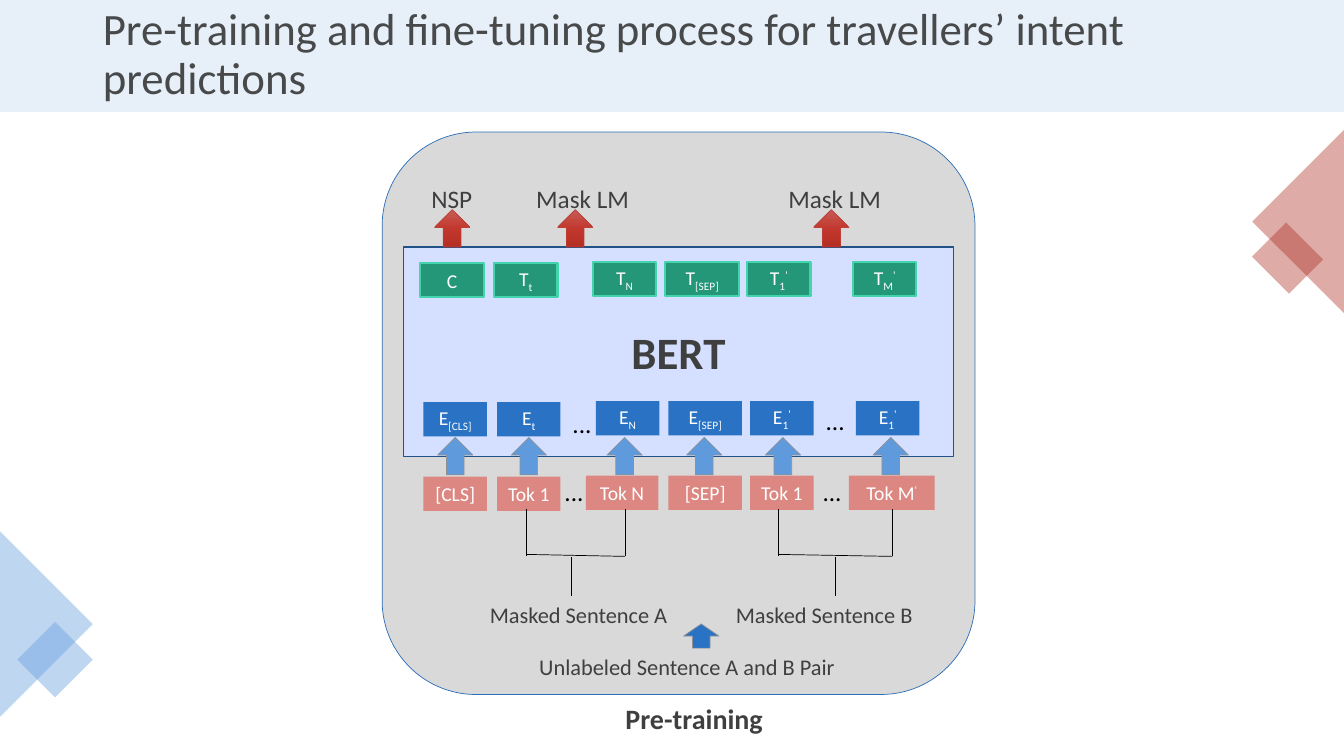
import copy
import dataclasses

import pptx
import pptx.dml.color
import pptx.enum.shapes
import pptx.enum.text
import pptx.oxml
import pptx.oxml.ns
import pptx.util
from lxml import etree


@dataclasses.dataclass(frozen=True)
class Theme:
    font: str = "Calibri"
    title: str = "47494A"
    ink: str = "3F3F3F"
    black: str = "000000"
    white: str = "FFFFFF"
    band: str = "D1E2F4"
    sky: str = "5F9ADD"
    brick: str = "AE2F23"
    panel: str = "D9D9D9"
    panel_edge: str = "2C6EB6"
    model: str = "D5DFFF"
    model_edge: str = "215187"
    embedding: str = "2A72C3"
    output: str = "239778"
    output_edge: str = "43D4AD"
    token: str = "DC8781"
    arrow_edge: str = "8F9294"
    output_arrow: tuple = ("C65C57", "C3382E", "B32D23")
    output_arrow_edge: str = "BC3E35"
    heading_size: int = 32
    caption_size: int = 20
    label_size: int = 18
    sentence_size: int = 16
    cell_size: int = 14


theme = Theme()
inch = pptx.util.Inches
color = pptx.dml.color.RGBColor.from_string
kinds = pptx.enum.shapes.MSO_SHAPE
align = pptx.enum.text.PP_ALIGN
middle = pptx.enum.text.MSO_ANCHOR.MIDDLE

deck = pptx.Presentation()
deck.slide_width, deck.slide_height = inch(13.33), inch(7.5)
page = deck.slides.add_slide(deck.slide_layouts[5])


def add_block(kind, place, fill, edge=None, weight=0.5):
    block = page.shapes.add_shape(kind, *map(inch, place))
    block.shadow.inherit = False
    block.fill.solid()
    block.fill.fore_color.rgb = color(fill)
    if edge:
        block.line.color.rgb = color(edge)
        block.line.width = pptx.util.Pt(weight)
    else:
        block.line.fill.background()
    return block


def write(frame, runs, size, ink, alignment=align.LEFT, bold=False):
    para = frame.paragraphs[0]
    para.alignment = alignment
    for text, baseline in runs:
        span = para.add_run()
        span.text = text
        span.font.name = theme.font
        span.font.size = pptx.util.Pt(size)
        span.font.bold = bold
        span.font.color.rgb = color(ink)
        if baseline:
            span.font._element.set("baseline", str(baseline * 1000))
    return para


backdrop = [
    ((0, -0.02, 13.33, 1.13), 0, theme.band, 50),
    ((-1.33, 5.26, 1.87, 1.85), 45, theme.sky, 40),
    ((0.28, 6.28, 0.53, 0.53), 45, theme.sky, 40),
    ((12.8, 1.28, 1.87, 1.85), 45, theme.brick, 40),
    ((12.51, 2.32, 0.52, 0.48), 45, theme.brick, 40),
]
title = page.shapes.title
for place, turn, fill, opacity in backdrop:
    block = add_block(kinds.RECTANGLE, place, fill)
    block.rotation = turn
    tint = block.element.spPr.find(".//" + pptx.oxml.ns.qn("a:srgbClr"))
    etree.SubElement(tint, pptx.oxml.ns.qn("a:alpha")).set("val", str(opacity * 1000))
    title.element.addprevious(block.element)

title.left, title.top, title.width, title.height = map(inch, (0.92, 0.01, 11.89, 1.08))
title.text_frame.vertical_anchor = middle
title.text_frame.auto_size = pptx.enum.text.MSO_AUTO_SIZE.NONE
para = write(title.text_frame, [("Pre-training and fine-tuning process for travellers’ intent predictions", 0)],
             theme.heading_size, theme.title)
para.line_spacing = 0.9

add_block(kinds.ROUNDED_RECTANGLE, (3.79, 1.31, 5.88, 5.58), theme.panel, theme.panel_edge)
model = add_block(kinds.RECTANGLE, (4, 2.45, 5.46, 2.08), theme.model, theme.model_edge, 1)
model.text_frame.vertical_anchor = middle
write(model.text_frame, [("BERT", 0)], theme.heading_size, theme.ink, align.CENTER, True)

columns = [(4.2, 0.63), (4.93, 0.63), (5.91, 0.63), (6.63, 0.73), (7.44, 0.63), (8.49, 0.63)]
output_columns = [(left - 0.03, width) for left, width in columns]
token_columns = columns[:2] + [(5.81, 0.72)] + columns[3:5] + [(8.42, 0.85)]
first, last = ("1", -25), ("M", -25)
prime = ("'", 30)
subscripts = [[("[CLS]", -25)], [("t", -25)], [("N", -25)], [("[SEP]", -25)], [first, prime]]
embeddings = [[("E", 0)] + marks for marks in subscripts + [[first, prime]]]
outputs = [[("C", 0)]] + [[("T", 0)] + marks for marks in subscripts[1:] + [[last, prime]]]
tokens = [[(word, 0)] for word in ("[CLS]", "Tok 1", "Tok N", "[SEP]", "Tok 1", "Tok M")]
tokens[-1].append(prime)

cell_rows = [
    (3.98, columns, embeddings, theme.embedding, None),
    (2.6, output_columns, outputs, theme.output, theme.output_edge),
    (4.72, token_columns, tokens, theme.token, None),
]
for top, row_columns, labels, fill, edge in cell_rows:
    for index, ((left, width), runs) in enumerate(zip(row_columns, labels)):
        drop = 0.01 if index < 2 else 0
        cell = add_block(kinds.RECTANGLE, (left, top + drop, width, 0.34), fill, edge, 1.5)
        frame = cell.text_frame
        frame.margin_left = frame.margin_right = 0
        frame.vertical_anchor = middle
        write(frame, runs, theme.cell_size, theme.white, align.CENTER)

for left in (4.31, 5.53, 8.07):
    arrow = add_block(kinds.UP_ARROW, (left, 2.08, 0.35, 0.37), theme.brick, theme.output_arrow_edge)
    arrow.fill.gradient()
    arrow.fill.gradient_angle = 270
    stops = arrow.element.spPr.find(".//" + pptx.oxml.ns.qn("a:gsLst"))
    stops.insert(1, copy.deepcopy(stops[0]))
    for index, (stop, shade) in enumerate(zip(arrow.fill.gradient_stops, theme.output_arrow)):
        stop.position = index / 2
        stop.color.rgb = color(shade)

for left in (4.34, 5.07, 6.02, 6.81, 7.59, 8.66):
    add_block(kinds.UP_ARROW, (left, 4.34, 0.35, 0.37), theme.sky, theme.arrow_edge)
add_block(kinds.UP_ARROW, (6.78, 6.19, 0.35, 0.24), theme.embedding, theme.arrow_edge)

brackets = [(5.22, 6.2, 5.67), (7.72, 8.85, 8.29)]
for start, end, stem in brackets:
    for x1, y1, x2, y2 in [(start, 5.05, start, 5.52), (end, 5.05, end, 5.52),
                           (start, 5.5, end, 5.52), (stem, 5.53, stem, 5.91)]:
        line = page.shapes.add_connector(pptx.enum.shapes.MSO_CONNECTOR.STRAIGHT,
                                         inch(x1), inch(y1), inch(x2), inch(y2))
        line.line.color.rgb = color(theme.black)
        line.line.width = pptx.util.Pt(0.5)
        etree.SubElement(line.element.spPr, pptx.oxml.ns.qn("a:effectLst"))

labels = [
    ("NSP", (4.18, 1.77, 0.63, 0.4), theme.label_size, theme.ink),
    ("Mask LM", (5.22, 1.77, 1.14, 0.4), theme.label_size, theme.ink),
    ("Mask LM", (7.72, 1.77, 1.14, 0.4), theme.label_size, theme.ink),
    ("Masked Sentence A", (4.76, 5.91, 2.31, 0.37), theme.sentence_size, theme.ink),
    ("Masked Sentence B", (7.2, 5.91, 2.31, 0.37), theme.sentence_size, theme.ink),
    ("Unlabeled Sentence A and B Pair", (5.25, 6.43, 3.17, 0.37), theme.sentence_size, theme.ink),
    ("Pre-training", (5.3, 6.91, 3.17, 0.44), theme.caption_size, theme.ink),
]
for left, top in [(5.58, 4), (5.5, 4.68), (8.06, 4.68), (8.09, 3.97)]:
    labels.append(("...", (left, top, 0.4, 0.4), theme.label_size, theme.black))
for text, place, size, ink in labels:
    box = page.shapes.add_textbox(*map(inch, place))
    box.text_frame.word_wrap = True
    caption = size == theme.caption_size
    write(box.text_frame, [(text, 0)], size, ink, align.CENTER if caption else align.LEFT, caption)

deck.save("out.pptx")
